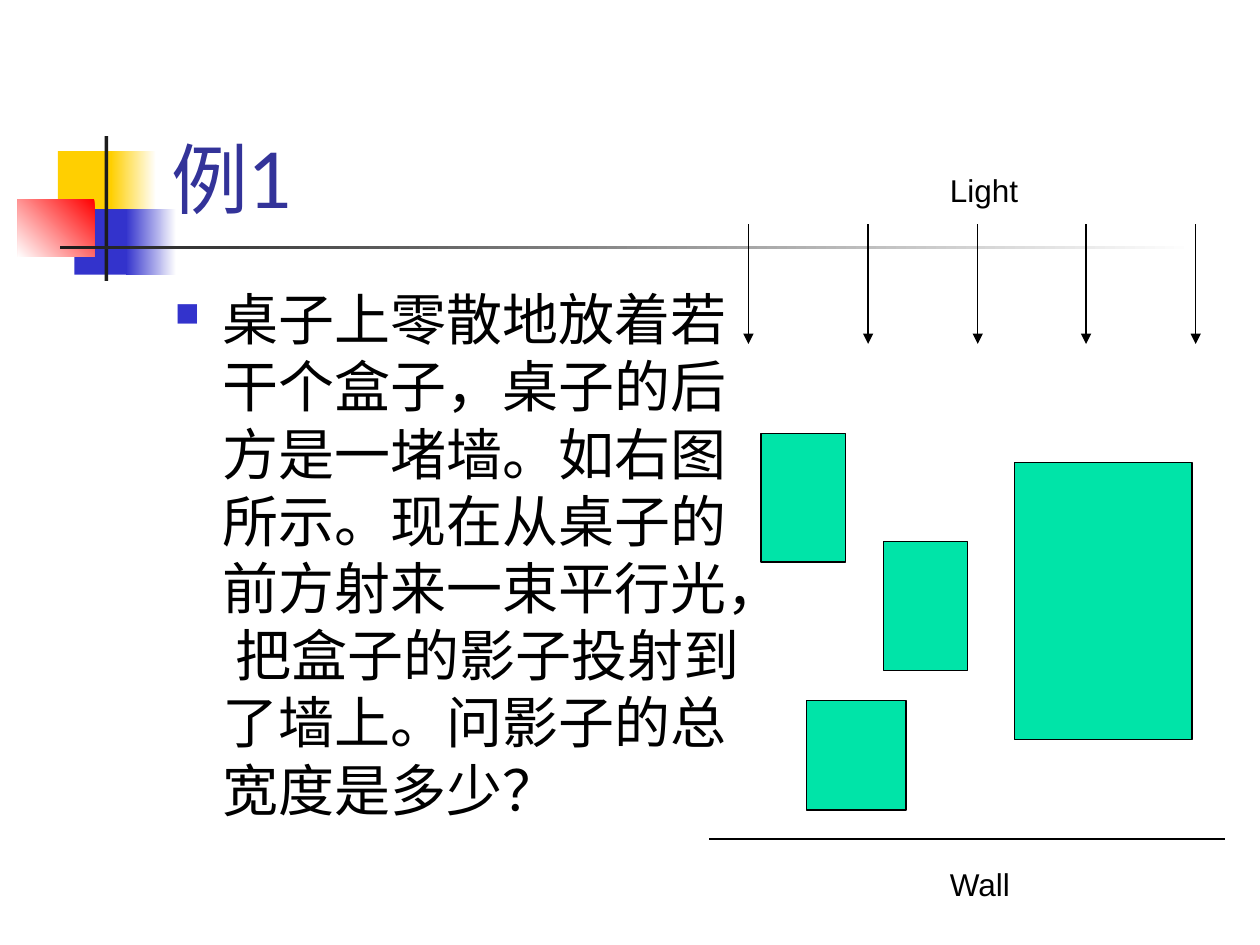
"""Build the slide of Example 1: boxes on a table casting shadows on a wall."""
from dataclasses import dataclass

from lxml import etree
from pptx import Presentation
from pptx.dml.color import RGBColor
from pptx.enum.shapes import MSO_CONNECTOR, MSO_SHAPE
from pptx.enum.text import MSO_ANCHOR, MSO_AUTO_SIZE
from pptx.oxml.ns import qn
from pptx.util import Inches, Pt


@dataclass(frozen=True)
class Theme:
    yellow: str = "FFCF01"
    blue: str = "3333CC"
    red: str = "FF0000"
    dark: str = "1C1C1C"
    white: str = "FFFFFF"
    black: str = "000000"
    title: str = "333399"
    box: str = "00E4A8"
    main_font: str = "Lato"
    label_font: str = "Arial"
    title_size: int = 44
    body_size: int = 32
    label_size: int = 18
    line_width: float = 0.75


class SlideBuilder:
    def __init__(self, slide, theme):
        self.slide = slide
        self.theme = theme

    def rect(self, at, fill, outlined=False):
        sp = self.slide.shapes.add_shape(MSO_SHAPE.RECTANGLE, *map(Inches, at))
        sp.shadow.inherit = False
        sp.fill.solid()
        sp.fill.fore_color.rgb = RGBColor.from_string(fill)
        if outlined:
            self.stroke(sp.line)
        else:
            sp.line.fill.background()
        return sp

    def gradient(self, at, start, end, angle):
        fill = self.rect(at, start).fill
        fill.gradient()
        fill.gradient_angle = angle
        for stop, color, position in zip(fill.gradient_stops, (start, end), (0, 1)):
            stop.color.rgb = RGBColor.from_string(color)
            stop.position = position

    def stroke(self, line):
        line.color.rgb = RGBColor.from_string(self.theme.black)
        line.width = Pt(self.theme.line_width)

    def line(self, x1, y1, x2, y2, arrow=False):
        cxn = self.slide.shapes.add_connector(
            MSO_CONNECTOR.STRAIGHT, *map(Inches, (x1, y1, x2, y2)))
        self.stroke(cxn.line)
        sp_pr = cxn.element.spPr
        if arrow:
            etree.SubElement(sp_pr.find(qn("a:ln")), qn("a:tailEnd"), type="triangle")
        etree.SubElement(sp_pr, qn("a:effectLst"))

    def text(self, at, text, size, color, font, anchor=MSO_ANCHOR.TOP, grow=False):
        tf = self.slide.shapes.add_textbox(*map(Inches, at)).text_frame
        tf.word_wrap = True
        tf.vertical_anchor = anchor
        tf.auto_size = MSO_AUTO_SIZE.SHAPE_TO_FIT_TEXT if grow else MSO_AUTO_SIZE.NONE
        tf.text = text
        p = tf.paragraphs[0]
        for r in p.runs:
            r.font.size = Pt(size)
            r.font.name = font
            r.font.color.rgb = RGBColor.from_string(color)
        return p

    def label(self, at, text):
        t = self.theme
        self.text(at, text, t.label_size, t.black, t.label_font, grow=True)

    def bullet(self, at, text):
        t = self.theme
        p = self.text(at, text, t.body_size, t.black, t.main_font)
        p_pr = p._p.get_or_add_pPr()
        p_pr.set("marL", str(Inches(0.38)))
        p_pr.set("indent", str(Inches(-0.38)))
        color = etree.SubElement(p_pr, qn("a:buClr"))
        etree.SubElement(color, qn("a:srgbClr"), val=t.blue)
        etree.SubElement(p_pr, qn("a:buSzPct"), val="60000")
        etree.SubElement(p_pr, qn("a:buChar"), char="■")


def main():
    prs = Presentation()
    prs.slide_width, prs.slide_height = Inches(10), Inches(7.5)
    theme = Theme()
    s = SlideBuilder(prs.slides.add_slide(prs.slide_layouts[6]), theme)

    s.rect((0.46, 1.2, 0.48, 0.52), theme.yellow)
    s.gradient((0.88, 1.2, 0.36, 0.52), theme.white, theme.yellow, 180)
    s.rect((0.59, 1.66, 0.46, 0.52), theme.blue)
    s.gradient((1, 1.66, 0.4, 0.52), theme.white, theme.blue, 180)
    s.gradient((0.14, 1.58, 0.61, 0.46), theme.red, theme.white, 225)
    s.rect((0.83, 1.08, 0.03, 1.15), theme.dark)
    s.gradient((0.48, 1.95, 9, 0.03), theme.white, theme.dark, 180)

    s.text((1.26, 0.23, 8.52, 1.6), "例1", theme.title_size, theme.title,
           theme.main_font, MSO_ANCHOR.BOTTOM)
    s.bullet((1.29, 2.21, 4.85, 4.5),
             "桌子上零散地放着若干个盒子，桌子的后方是一堵墙。如右图所示。"
             "现在从桌子的前方射来一束平行光， 把盒子的影子投射到了墙上。"
             "问影子的总宽度是多少？")

    s.line(5.63, 6.66, 9.72, 6.66)
    for at in ((6.04, 3.44, 0.67, 1.02), (7.01, 4.3, 0.67, 1.02),
               (6.4, 5.56, 0.79, 0.87), (8.05, 3.67, 1.41, 2.2)):
        s.rect(at, theme.box, outlined=True)
    for x in (5.94, 6.89, 7.76, 8.62, 9.49):
        s.line(x, 1.78, x, 2.73, arrow=True)
    s.label((7.44, 6.82, 0.79, 0.4), "Wall")
    s.label((7.44, 1.31, 1.02, 0.4), "Light")

    prs.save("out.pptx")


if __name__ == "__main__":
    main()
